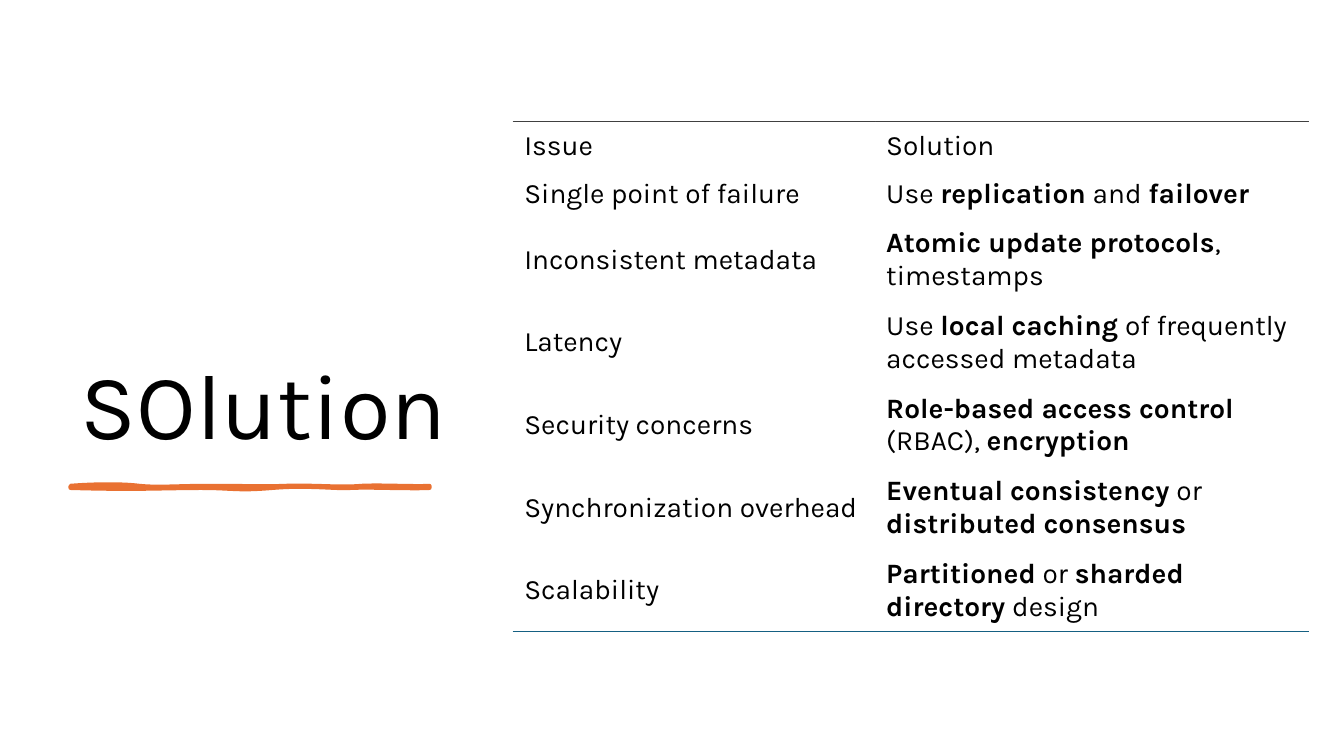
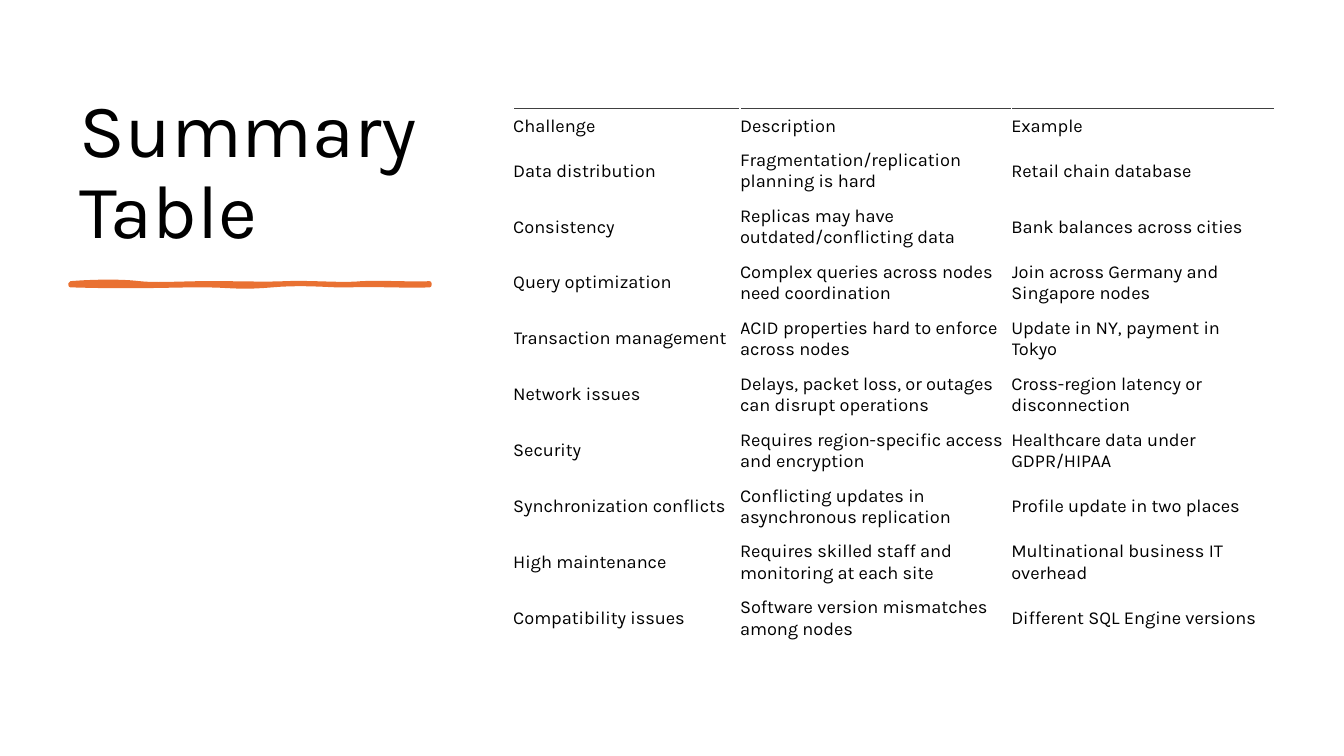
from lxml.etree import SubElement
from pptx import Presentation
from pptx.dml.color import RGBColor
from pptx.enum.text import MSO_ANCHOR, MSO_AUTO_SIZE, PP_ALIGN
from pptx.oxml.ns import qn
from pptx.util import Emu, Pt

# Shared style; 100 px are one inch
PX = 9144
FONT = "Karla"
BLACK, ORANGE, BLUE, DARK = "000000", "E97132", "156082", "404040"
TITLE_ONLY = 5
TABLE_LEFT = 509
UNDERLINE_LEFT = 70

# Brush stroke: each curve holds two control points and an end point
BRUSH_CURVES = [
    (27, -2, 51, -2, 68, 0),
    (85, 2, 107, 0, 139, 0),
    (171, 0, 190, 1, 214, 0),
    (238, -1, 269, 2, 289, 0),
    (309, -1, 342, 1, 356, 0),
    (356, 1, 356, 2, 356, 2),
    (338, 3, 294, 1, 278, 2),
    (262, 3, 234, -1, 200, 2),
    (165, 5, 161, 2, 129, 2),
    (96, 2, 62, 4, 0, 2),
]
CURVE_STEPS = 12

# Content; ** marks bold text
SLIDES = [
    {
        "title": "SOlution", "title_box": (70, 70, 391, 391), "title_size": 66,
        "underline_top": 482,
        "table_top": 121, "columns": [359, 430], "heights": [48, 48] + [82] * 5,
        "size": 20, "margins": (11, 6, 11, 6), "bottom_rule": True,
        "rows": [
            ("Issue", "Solution"),
            ("Single point of failure", "Use **replication** and **failover**"),
            ("Inconsistent metadata", "**Atomic update protocols**, timestamps"),
            ("Latency", "Use **local caching** of frequently accessed metadata"),
            ("Security concerns", "**Role-based access control** (RBAC), **encryption**"),
            ("Synchronization overhead", "**Eventual consistency** or **distributed consensus**"),
            ("Scalability", "**Partitioned** or **sharded directory** design"),
        ],
    },
    {
        "title": "Summary Table", "title_box": (69, 70, 375, 188), "title_size": 54,
        "underline_top": 281,
        "table_top": 108, "columns": [225, 269, 261], "heights": [34] + [55.5] * 9,
        "size": 13, "margins": (0, 4, 7, 4), "bottom_rule": False,
        "rows": [
            ("Challenge", "Description", "Example"),
            ("Data distribution", "Fragmentation/replication planning is hard", "Retail chain database"),
            ("Consistency", "Replicas may have outdated/conflicting data", "Bank balances across cities"),
            ("Query optimization", "Complex queries across nodes need coordination",
             "Join across Germany and Singapore nodes"),
            ("Transaction management", "ACID properties hard to enforce across nodes",
             "Update in NY, payment in Tokyo"),
            ("Network issues", "Delays, packet loss, or outages can disrupt operations",
             "Cross-region latency or disconnection"),
            ("Security", "Requires region-specific access and encryption",
             "Healthcare data under GDPR/HIPAA"),
            ("Synchronization conflicts", "Conflicting updates in asynchronous replication",
             "Profile update in two places"),
            ("High maintenance", "Requires skilled staff and monitoring at each site",
             "Multinational business IT overhead"),
            ("Compatibility issues", "Software version mismatches among nodes",
             "Different SQL Engine versions"),
        ],
    },
]


def px(length):
    return Emu(round(length * PX))


def color(value):
    return RGBColor.from_string(value)


def write_text(text_frame, text, *, size, fill=BLACK, line_spacing=1.0):
    """Write one left-aligned paragraph, with ** switching bold on and off."""
    text_frame.word_wrap = True
    paragraph = text_frame.paragraphs[0]
    paragraph.alignment = PP_ALIGN.LEFT
    paragraph.line_spacing = line_spacing
    for index, part in enumerate(text.split("**")):
        if part:
            run = paragraph.add_run()
            run.text = part
            run.font.name = FONT
            run.font.size = Pt(size)
            run.font.bold = index % 2 == 1
            run.font.color.rgb = color(fill)


def add_title(slide, text, box, size):
    title = slide.shapes.title
    title.left, title.top, title.width, title.height = map(px, box)
    text_frame = title.text_frame
    text_frame.auto_size = MSO_AUTO_SIZE.NONE
    text_frame.vertical_anchor = MSO_ANCHOR.BOTTOM
    write_text(text_frame, text, size=size, line_spacing=0.9)


def brush_points():
    """Sample the cubic curves of the brush stroke."""
    start = (0, 0)
    for x1, y1, x2, y2, x3, y3 in BRUSH_CURVES:
        for step in range(1, CURVE_STEPS + 1):
            t = step / CURVE_STEPS
            weights = ((1 - t) ** 3, 3 * t * (1 - t) ** 2, 3 * t * t * (1 - t), t ** 3)
            yield tuple(
                sum(weight * value for weight, value in zip(weights, values))
                for values in ((start[0], x1, x2, x3), (start[1], y1, y2, y3))
            )
        start = (x3, y3)


def add_underline(slide, top):
    builder = slide.shapes.build_freeform(px(UNDERLINE_LEFT), px(top), scale=1.0)
    builder.add_line_segments(
        [(px(UNDERLINE_LEFT + x), px(top + y)) for x, y in brush_points()], close=True)
    shape = builder.convert_to_shape()
    shape.shadow.inherit = False
    shape.fill.solid()
    shape.fill.fore_color.rgb = color(ORANGE)
    shape.line.color.rgb = color(ORANGE)
    shape.line.width = Pt(3)
    SubElement(shape.line._get_or_add_ln(), qn("a:round"))


def add_border(cell, side, value, width):
    """Draw one cell edge; borders come before the fill in the cell properties."""
    properties = cell._tc.get_or_add_tcPr()
    line = SubElement(properties, qn(f"a:{side}"), w=str(Pt(width)))
    solid = SubElement(line, qn("a:solidFill"))
    SubElement(solid, qn("a:srgbClr"), val=value)
    properties.insert(0, line)


def add_table(slide, content):
    rows, columns, heights = content["rows"], content["columns"], content["heights"]
    table = slide.shapes.add_table(
        len(rows), len(columns), px(TABLE_LEFT), px(content["table_top"]),
        px(sum(columns)), px(sum(heights))).table
    table.first_row = table.horz_banding = False
    for column, width in zip(table.columns, columns):
        column.width = px(width)
    for row, height in zip(table.rows, heights):
        row.height = px(height)

    last_row = len(rows) - 1
    for row_index, texts in enumerate(rows):
        for column_index, text in enumerate(texts):
            cell = table.cell(row_index, column_index)
            cell.fill.background()
            cell.vertical_anchor = MSO_ANCHOR.MIDDLE
            (cell.margin_left, cell.margin_top,
             cell.margin_right, cell.margin_bottom) = map(px, content["margins"])
            write_text(cell.text_frame, text, size=content["size"])
            if row_index == 0:
                add_border(cell, "lnT", DARK, 0.75)
            if row_index == last_row and content["bottom_rule"]:
                add_border(cell, "lnB", BLUE, 1)


def main():
    presentation = Presentation()
    presentation.slide_width, presentation.slide_height = px(1333), px(750)
    for content in SLIDES:
        slide = presentation.slides.add_slide(presentation.slide_layouts[TITLE_ONLY])
        add_title(slide, content["title"], content["title_box"], content["title_size"])
        add_underline(slide, content["underline_top"])
        add_table(slide, content)
    presentation.save("out.pptx")


if __name__ == "__main__":
    main()
